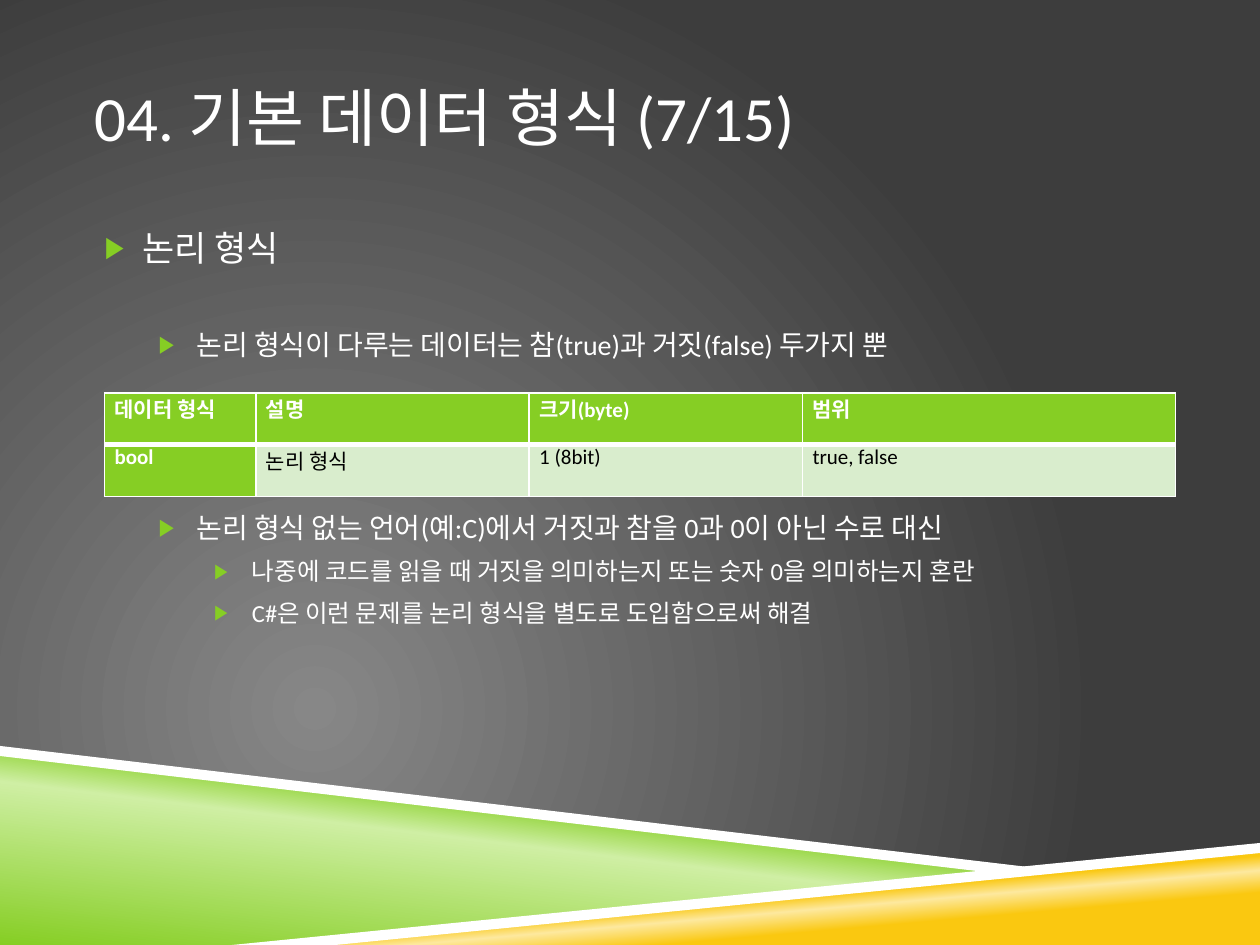
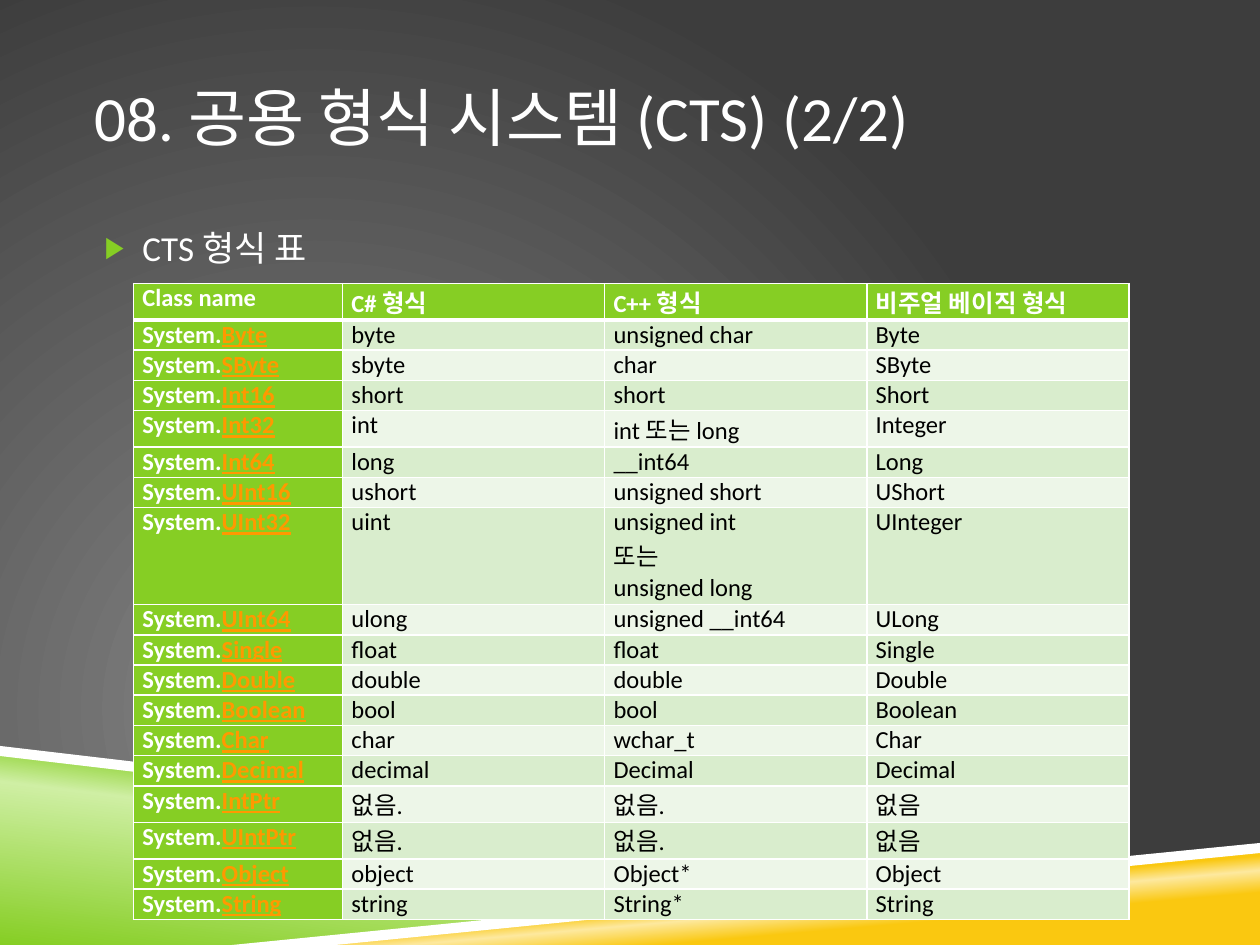
from dataclasses import dataclass

from lxml import etree
from pptx import Presentation
from pptx.dml.color import RGBColor
from pptx.enum import text as et
from pptx.oxml.ns import qn
from pptx.util import Inches, Pt

FONT = "Calibri"
WHITE = RGBColor(0xFF, 0xFF, 0xFF)
BLACK = RGBColor(0, 0, 0)
GREEN = RGBColor(0x86, 0xCE, 0x24)
PALE_GREEN = RGBColor(0xCF, 0xEF, 0xA4)
YELLOW = RGBColor(0xFA, 0xC8, 0x10)
PALE_YELLOW = RGBColor(0xFD, 0xE9, 0x9F)
GREY = RGBColor(0x87, 0x87, 0x87)
DARK = RGBColor(0x3D, 0x3D, 0x3D)
ORANGE = RGBColor(0xFF, 0x99, 0x00)
ROW_FILLS = (RGBColor(0xD9, 0xED, 0xCD), RGBColor(0xED, 0xF6, 0xE8))

LEVEL_INDENTS = (0.38, 0.81, 1.25)
LEVEL_SIZES = (20, 16, 14)


@dataclass(frozen=True)
class Band:
    points: tuple
    stops: tuple
    angle: int = 0


@dataclass(frozen=True)
class Bullet:
    text: str
    level: int = 0
    before: float = 7


@dataclass(frozen=True)
class Grid:
    left: float
    top: float
    widths: tuple
    heights: tuple
    rows: tuple
    size: int
    indent: float = 0


BANDS = (
    Band(((0, 5.97), (7.92, 6.92), (2, 7.5), (0, 7.5)),
         ((0, GREEN), (52, PALE_GREEN), (66, GREEN)), 277),
    Band(((1.98, 7.5), (10, 6.72), (10, 7.5)),
         ((28, YELLOW), (40, PALE_YELLOW), (48, YELLOW)), 265),
    Band(((0, 5.92), (0, 6), (7.9, 6.93), (8.32, 6.9)), ((0, WHITE),)),
    Band(((10, 6.69), (1.84, 7.5), (2.66, 7.5), (10, 6.77)), ((0, WHITE),)),
)


def child(parent, tag: str, **attrs):
    el = etree.SubElement(parent, qn(tag))
    for name, value in attrs.items():
        el.set(name, str(value))
    return el


def set_gradient(owner, stops: tuple, angle: int | None = None) -> None:
    grad = owner.find(".//" + qn("a:gradFill"))
    for old in list(grad):
        grad.remove(old)
    stop_list = child(grad, "a:gsLst")
    for position, color in stops:
        child(child(stop_list, "a:gs", pos=position * 1000), "a:srgbClr", val=color)
    if angle is None:
        circle = child(grad, "a:path", path="circle")
        child(circle, "a:fillToRect", l=50000, t=100000, r=100000, b=50000)
    else:
        child(grad, "a:lin", ang=angle * 60000, scaled=0)


def write(p, text: str, *, size: int, color: RGBColor = WHITE,
          bold: bool = False, underline: bool = False) -> None:
    r = p.add_run()
    r.text = text
    f = r.font
    f.name, f.size, f.bold, f.underline = FONT, Pt(size), bold, underline
    f.color.rgb = color


def add_text_frame(s, top: float, height: float, anchor):
    tf = s.shapes.add_textbox(Inches(0.75), Inches(top), Inches(8.5), Inches(height)).text_frame
    tf.word_wrap = True
    tf.margin_left = tf.margin_right = 0
    tf.margin_top = tf.margin_bottom = Inches(0.05)
    tf.vertical_anchor = anchor
    return tf


def add_band(s, band: Band) -> None:
    points = [(Inches(x), Inches(y)) for x, y in band.points]
    builder = s.shapes.build_freeform(*points[0], scale=1.0)
    builder.add_line_segments(points[1:], close=True)
    sp = builder.convert_to_shape()
    sp.shadow.inherit = False
    sp.line.fill.background()
    if len(band.stops) == 1:
        sp.fill.solid()
        sp.fill.fore_color.rgb = band.stops[0][1]
    else:
        sp.fill.gradient()
        set_gradient(sp.element, band.stops, band.angle)


def add_bullets(s, bullets: tuple) -> None:
    tf = add_text_frame(s, 1.75, 4.08, et.MSO_ANCHOR.TOP)
    for i, bullet in enumerate(bullets):
        p = tf.add_paragraph() if i else tf.paragraphs[0]
        p.space_before = Pt(bullet.before)
        pPr = p._p.get_or_add_pPr()
        pPr.set("marL", str(Inches(LEVEL_INDENTS[bullet.level])))
        pPr.set("indent", str(Inches(-0.3)))
        child(child(pPr, "a:buClr"), "a:srgbClr", val=GREEN)
        child(pPr, "a:buSzPct", val=85000)
        child(pPr, "a:buFont", typeface=FONT)
        child(pPr, "a:buChar", char="▶")
        write(p, bullet.text, size=LEVEL_SIZES[bullet.level])


def set_borders(cell, top: int, bottom: int) -> None:
    tcPr = cell._tc.get_or_add_tcPr()
    for i, (side, width) in enumerate((("L", 1), ("R", 1), ("T", top), ("B", bottom))):
        ln = etree.Element(qn("a:ln" + side), w=str(Pt(width)))
        child(child(ln, "a:solidFill"), "a:srgbClr", val=WHITE)
        tcPr.insert(i, ln)


def fill_cell(cell, text: str, row: int, col: int, grid: Grid) -> None:
    strong = row == 0 or col == 0
    cell.fill.solid()
    cell.fill.fore_color.rgb = GREEN if strong else ROW_FILLS[(row - 1) % 2]
    set_borders(cell, 3 if row == 1 else 1, 3 if row == 0 else 1)
    cell.margin_left = cell.margin_right = Inches(0.07)
    cell.margin_top = cell.margin_bottom = 0
    tf = cell.text_frame
    for i, line in enumerate(text.split("\n")):
        p = tf.add_paragraph() if i else tf.paragraphs[0]
        p.alignment = et.PP_ALIGN.JUSTIFY
        if grid.indent:
            p._p.get_or_add_pPr().set("marL", str(Inches(grid.indent)))
        space, dot, name = line.partition(".")
        if col == 0 and dot:
            write(p, space + dot, size=grid.size, bold=True)
            write(p, name, size=grid.size, color=ORANGE, bold=True, underline=True)
        else:
            write(p, line, size=grid.size, color=WHITE if strong else BLACK, bold=strong)


def add_grid(s, grid: Grid) -> None:
    frame = s.shapes.add_table(
        len(grid.rows), len(grid.widths), Inches(grid.left), Inches(grid.top),
        Inches(sum(grid.widths)), Inches(sum(grid.heights)))
    table = frame.table
    table.first_row = table.horz_banding = False
    for column, width in zip(table.columns, grid.widths):
        column.width = Inches(width)
    for row, height in zip(table.rows, grid.heights):
        row.height = Inches(height)
    for i, texts in enumerate(grid.rows):
        for j, text in enumerate(texts):
            fill_cell(table.cell(i, j), text, i, j, grid)


def add_slide(prs, title: str, bullets: tuple, grid: Grid) -> None:
    s = prs.slides.add_slide(prs.slide_layouts[6])
    s.background.fill.gradient()
    set_gradient(s.element, ((0, GREY), (100, DARK)))
    for band in BANDS:
        add_band(s, band)
    tf = add_text_frame(s, 0.3, 1.25, et.MSO_ANCHOR.MIDDLE)
    write(tf.paragraphs[0], title, size=36)
    add_bullets(s, bullets)
    add_grid(s, grid)


def row_height(texts: tuple) -> float:
    if any("\n" in text for text in texts):
        return 0.77
    has_hangul = any("가" <= char <= "힣" for char in "".join(texts))
    return 0.29 if has_hangul else 0.24


BOOL_BULLETS = (
    Bullet("논리 형식"),
    Bullet("논리 형식이 다루는 데이터는 참(true)과 거짓(false) 두가지 뿐", 1, 33.5),
    Bullet("논리 형식 없는 언어(예:C)에서 거짓과 참을 0과 0이 아닌 수로 대신", 1, 85.5),
    Bullet("나중에 코드를 읽을 때 거짓을 의미하는지 또는 숫자 0을 의미하는지 혼란", 2),
    Bullet("C#은 이런 문제를 논리 형식을 별도로 도입함으로써 해결", 2),
)
BOOL_GRID = Grid(
    0.83, 3.12, (1.2, 2.17, 2.17, 2.96), (0.41,) * 2,
    (("데이터 형식", "설명", "크기(byte)", "범위"),
     ("bool", "논리 형식", "1 (8bit)", "true, false")),
    12, 0.01)

CTS_ROWS = (
    ("Class name", "C# 형식", "C++ 형식", "비주얼 베이직 형식"),
    ("System.Byte", "byte", "unsigned char", "Byte"),
    ("System.SByte", "sbyte", "char", "SByte"),
    ("System.Int16", "short", "short", "Short"),
    ("System.Int32", "int", "int 또는 long", "Integer"),
    ("System.Int64", "long", "__int64", "Long"),
    ("System.UInt16", "ushort", "unsigned short", "UShort"),
    ("System.UInt32", "uint", "unsigned int\n또는\nunsigned long", "UInteger"),
    ("System.UInt64", "ulong", "unsigned __int64", "ULong"),
    ("System.Single", "float", "float", "Single"),
    ("System.Double", "double", "double", "Double"),
    ("System.Boolean", "bool", "bool", "Boolean"),
    ("System.Char", "char", "wchar_t", "Char"),
    ("System.Decimal", "decimal", "Decimal", "Decimal"),
    ("System.IntPtr", "없음.", "없음.", "없음"),
    ("System.UIntPtr", "없음.", "없음.", "없음"),
    ("System.Object", "object", "Object*", "Object"),
    ("System.String", "string", "String*", "String"),
)
CTS_HEIGHTS = tuple(row_height(row) for row in CTS_ROWS)
CTS_GRID = Grid(1.06, 2.25, (1.66, 2.08, 2.08, 2.08), CTS_HEIGHTS, CTS_ROWS, 14)

prs = Presentation()
prs.slide_width, prs.slide_height = Inches(10), Inches(7.5)
add_slide(prs, "04. 기본 데이터 형식 (7/15)", BOOL_BULLETS, BOOL_GRID)
add_slide(prs, "08. 공용 형식 시스템 (CTS) (2/2)", (Bullet("CTS 형식 표"),), CTS_GRID)
prs.save("out.pptx")
